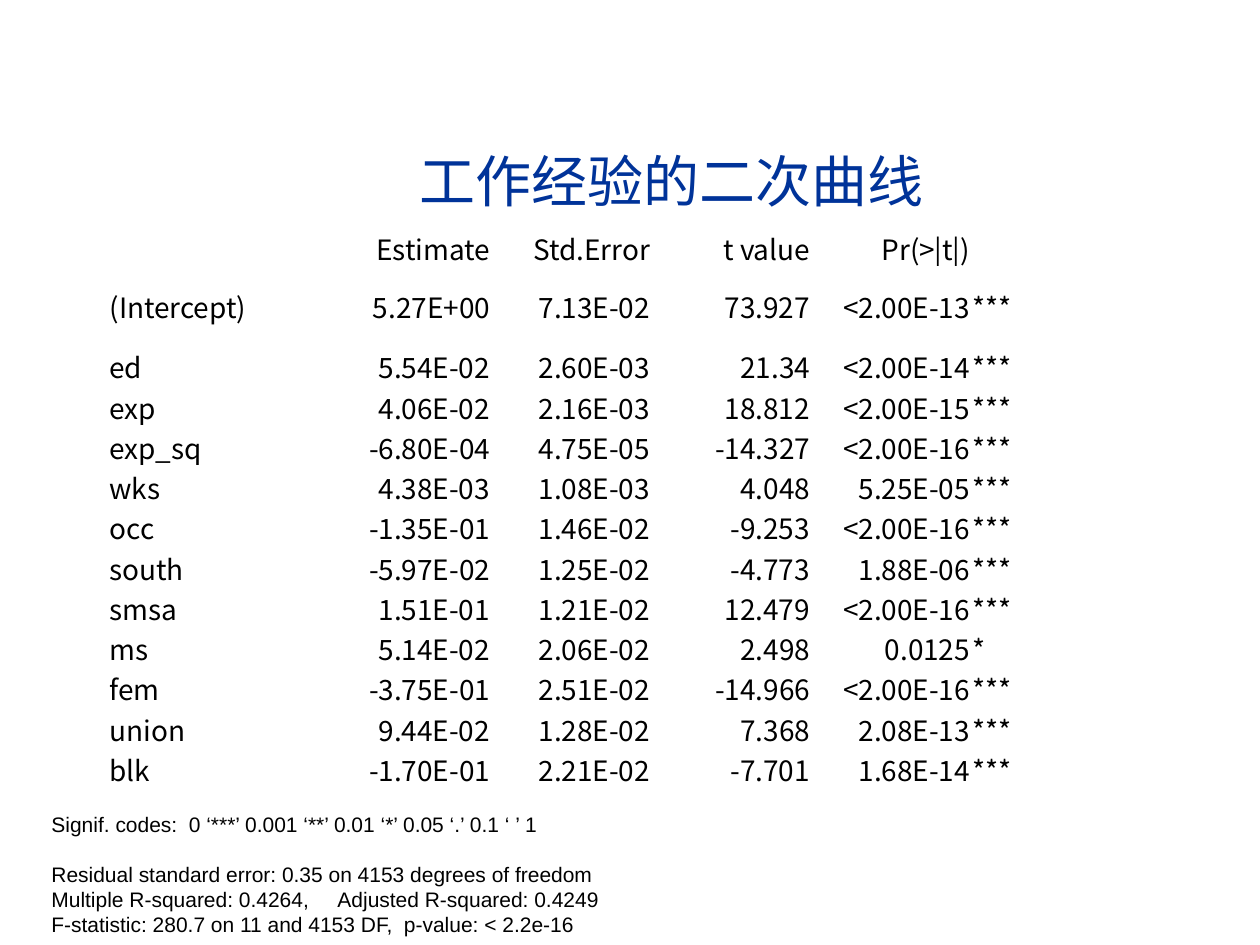
from pptx import Presentation
from pptx import util as u
from pptx.dml.color import RGBColor
from pptx.enum import text
from pptx.oxml.ns import qn
from lxml import etree

HEADER = ["", "Estimate", "Std.Error", "t value", "Pr(>|t|)", ""]
COEFFICIENTS = [
    ["(Intercept)", "5.27E+00", "7.13E-02", "73.927", "<2.00E-13", "***"],
    ["ed", "5.54E-02", "2.60E-03", "21.34", "<2.00E-14", "***"],
    ["exp", "4.06E-02", "2.16E-03", "18.812", "<2.00E-15", "***"],
    ["exp_sq", "-6.80E-04", "4.75E-05", "-14.327", "<2.00E-16", "***"],
    ["wks", "4.38E-03", "1.08E-03", "4.048", "5.25E-05", "***"],
    ["occ", "-1.35E-01", "1.46E-02", "-9.253", "<2.00E-16", "***"],
    ["south", "-5.97E-02", "1.25E-02", "-4.773", "1.88E-06", "***"],
    ["smsa", "1.51E-01", "1.21E-02", "12.479", "<2.00E-16", "***"],
    ["ms", "5.14E-02", "2.06E-02", "2.498", "0.0125", "*"],
    ["fem", "-3.75E-01", "2.51E-02", "-14.966", "<2.00E-16", "***"],
    ["union", "9.44E-02", "1.28E-02", "7.368", "2.08E-13", "***"],
    ["blk", "-1.70E-01", "2.21E-02", "-7.701", "1.68E-14", "***"],
]
FIT_NOTES = [
    "Signif. codes:  0 ‘***’ 0.001 ‘**’ 0.01 ‘*’ 0.05 ‘.’ 0.1 ‘ ’ 1",
    "Residual standard error: 0.35 on 4153 degrees of freedom",
    "Multiple R-squared: 0.4264,\tAdjusted R-squared: 0.4249",
    "F-statistic: 280.7 on 11 and 4153 DF,  p-value: < 2.2e-16",
]


def inches(*values):
    return [u.Inches(v) for v in values]


def style(p, size, color, font="Arial", align=text.PP_ALIGN.LEFT):
    p.alignment = align
    for r in p.runs:
        r.font.size = u.Pt(size)
        r.font.name = font
        r.font.color.rgb = RGBColor.from_string(color)


def add_tab_stop(p, position):
    tabs = etree.SubElement(p._p.get_or_add_pPr(), qn("a:tabLst"))
    etree.SubElement(tabs, qn("a:tab"), pos=str(u.Inches(position)), algn="l")


def set_title(s, title):
    sp = s.shapes.title
    sp.left, sp.top, sp.width, sp.height = inches(0.83, 1.17, 9, 0.58)
    tf = sp.text_frame
    tf.text = title
    tf.auto_size = text.MSO_AUTO_SIZE.NONE
    tf.vertical_anchor = text.MSO_ANCHOR.BOTTOM
    style(tf.paragraphs[0], 32, "003399", align=text.PP_ALIGN.CENTER)


def add_notes(s, lines):
    tf = s.shapes.add_textbox(*inches(0.31, 6.39, 9.38, 1.11)).text_frame
    tf.word_wrap = True
    tf.text = "\n".join(lines)
    for p in tf.paragraphs:
        style(p, 12, "000000")
        if "\t" in p.text:
            add_tab_stop(p, 2.27)
    tf.paragraphs[1].space_before = u.Pt(14)


def fill_cell(cell, value, align):
    cell.fill.background()
    cell.margin_left = cell.margin_right = cell.margin_top = u.Inches(0.01)
    cell.margin_bottom = 0
    cell.vertical_anchor = text.MSO_ANCHOR.MIDDLE
    if value:
        cell.text = value
        style(cell.text_frame.paragraphs[0], 16, "000000", "Noto Sans CJK SC", align)


def add_coefficient_table(s, rows):
    """Numbers are right-aligned; the first and last columns are left-aligned."""
    n_cols = len(rows[0])
    frame = s.shapes.add_table(len(rows), n_cols, *inches(0.86, 1.8, 8.13, 4.45))
    table = frame.table
    table.first_row = table.horz_banding = False
    for i, column in enumerate(table.columns):
        column.width = u.Inches(1.77 if i == 1 else 1.27)
    for i, row in enumerate(table.rows):
        row.height = u.Inches(0.62 if i == 1 else 0.32)
        for j, value in enumerate(rows[i]):
            is_number = 0 < j < n_cols - 1
            align = text.PP_ALIGN.RIGHT if is_number else text.PP_ALIGN.LEFT
            fill_cell(table.cell(i, j), value, align)


def main():
    prs = Presentation()
    prs.slide_width, prs.slide_height = inches(10, 7.5)
    s = prs.slides.add_slide(prs.slide_layouts[5])
    set_title(s, "工作经验的二次曲线")
    add_notes(s, FIT_NOTES)
    add_coefficient_table(s, [HEADER] + COEFFICIENTS)
    prs.save("out.pptx")


if __name__ == "__main__":
    main()
